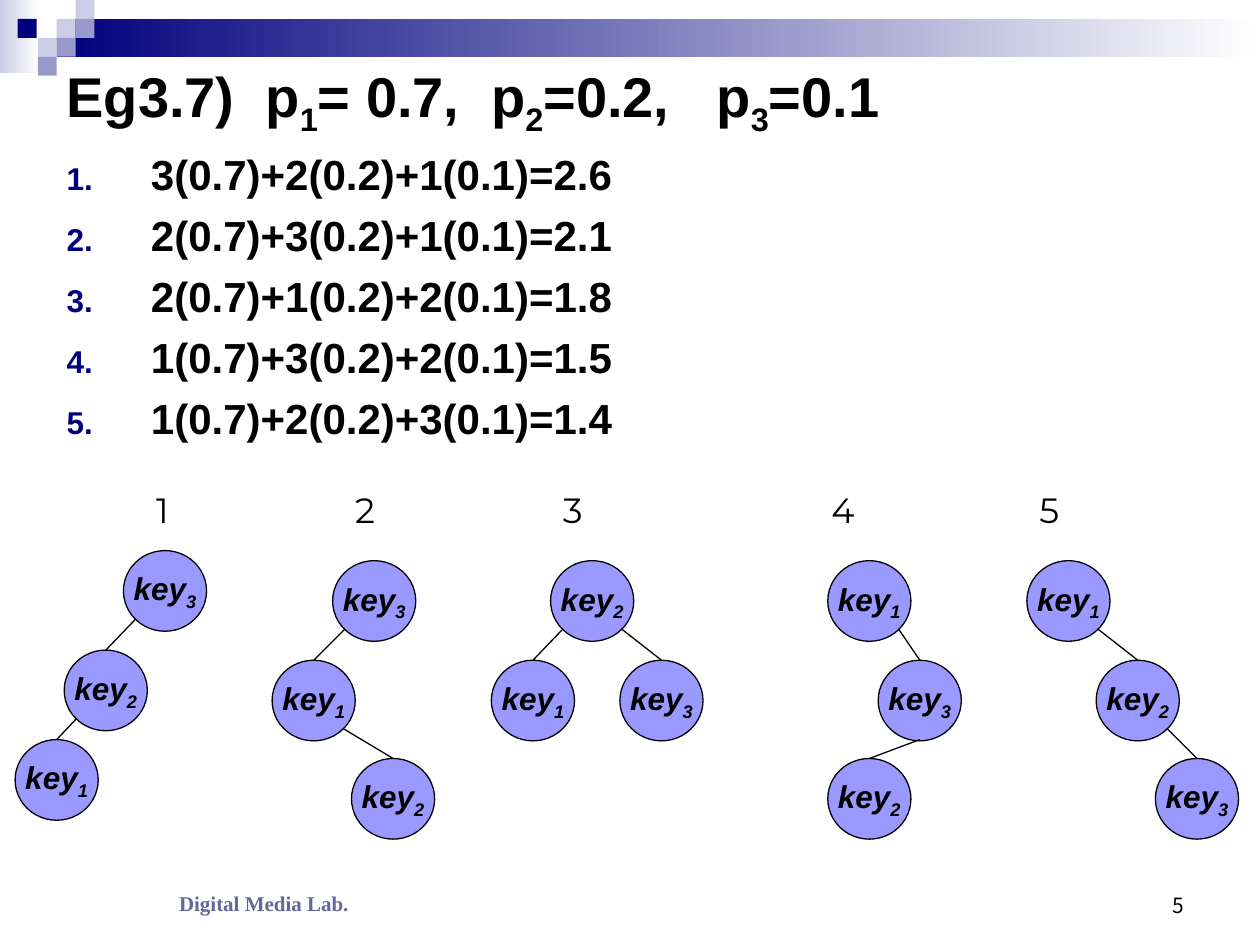
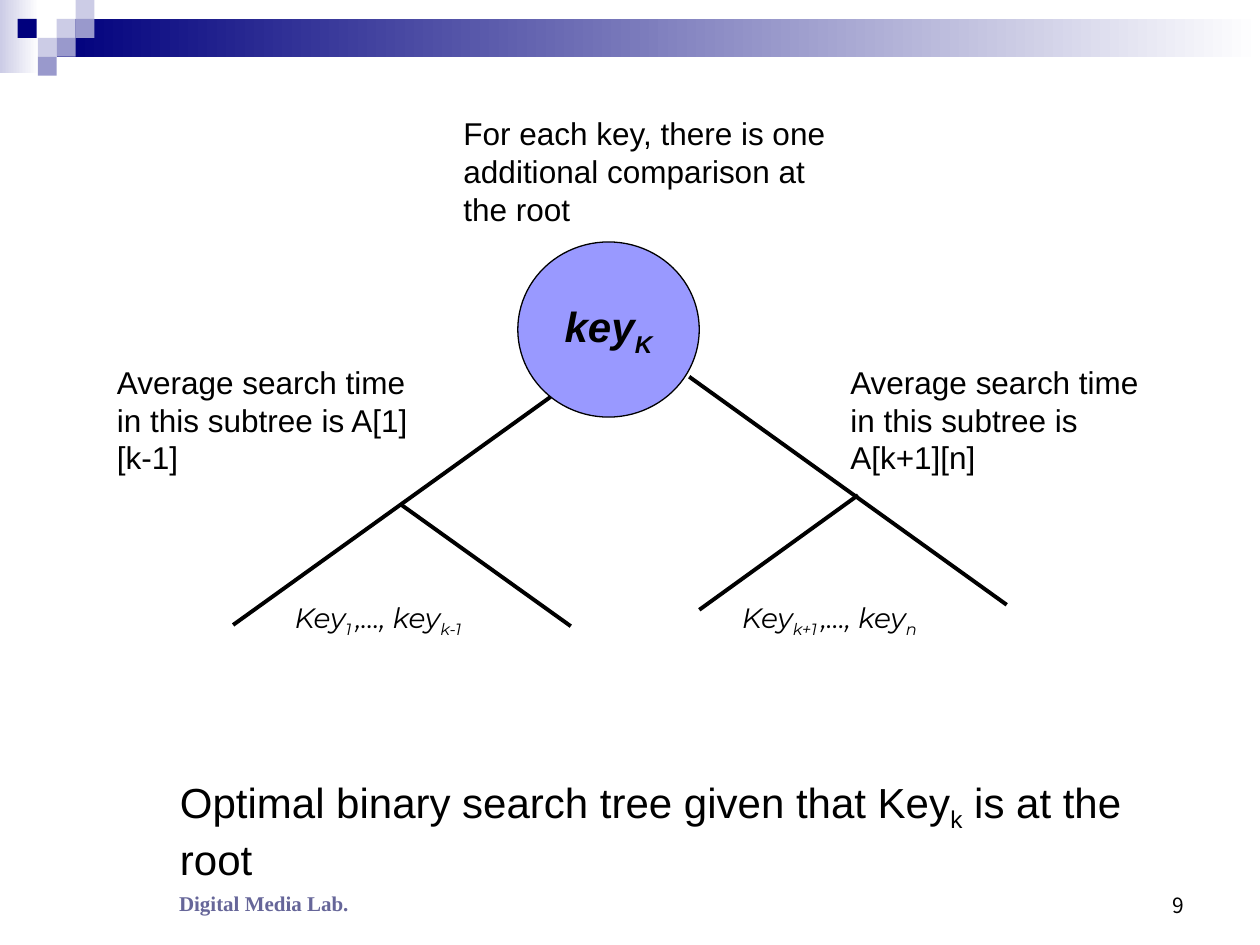
from lxml import etree
from pptx import Presentation
from pptx.dml.color import RGBColor
from pptx.enum.shapes import MSO_CONNECTOR, MSO_SHAPE
from pptx.enum.text import MSO_ANCHOR, PP_ALIGN
from pptx.oxml.ns import qn
from pptx.util import Inches, Pt

RECT, OVAL, LINE = MSO_SHAPE.RECTANGLE, MSO_SHAPE.OVAL, MSO_CONNECTOR.STRAIGHT
LEFT, MID, RIGHT = PP_ALIGN.LEFT, PP_ALIGN.CENTER, PP_ALIGN.RIGHT
TOP, CENTER, BOTTOM = MSO_ANCHOR.TOP, MSO_ANCHOR.MIDDLE, MSO_ANCHOR.BOTTOM

BLACK, WHITE, NAVY = "000000", "FFFFFF", "00007D"
PALE, MIST, SLATE, NODE = "CCCCE6", "9999CC", "666699", "9999FF"
SANS, LABEL, SERIF, DIGIT = "Arial", "Montserrat", "Times New Roman", "Noto Sans CJK KR"

TILE = 0.15
TILES = [(0.45, 0.15, PALE), (0.6, 0, PALE), (0.6, 0.15, MIST),
         (0.3, 0.3, PALE), (0.14, 0.15, NAVY), (0.45, 0.3, MIST),
         (0.3, 0.45, MIST)]

TITLE = "Eg3.7)\tp|1|= 0.7,\tp|2|=0.2,\tp|3|=0.1"
STOPS = [1.58, 3.37, 5.16]
COSTS = ["3(0.7)+2(0.2)+1(0.1)=2.6", "2(0.7)+3(0.2)+1(0.1)=2.1",
         "2(0.7)+1(0.2)+2(0.1)=1.8", "1(0.7)+3(0.2)+2(0.1)=1.5",
         "1(0.7)+2(0.2)+3(0.1)=1.4"]

WIDE, HIGH = 0.66, 0.64
PORTS = {"left": (0.1, 0.54), "right": (0.56, 0.54), "below": (0.33, 0.63)}
TREES = [
    (1.14, {3: (0.98, 4.37), 2: (0.51, 5.16), 1: (0.12, 5.87)},
     [(3, "left", 2), (2, "left", 1)]),
    (2.72, {3: (2.64, 4.45), 1: (2.16, 5.24), 2: (2.79, 6.02)},
     [(3, "left", 1), (1, "right", 2)]),
    (4.37, {2: (4.37, 4.45), 1: (3.9, 5.24), 3: (4.92, 5.24)},
     [(2, "left", 1), (2, "right", 3)]),
    (6.5, {1: (6.57, 4.45), 3: (6.97, 5.24), 2: (6.57, 6.02)},
     [(1, "right", 3), (3, "below", 2)]),
    (8.15, {1: (8.15, 4.45), 2: (8.7, 5.24), 3: (9.17, 6.02)},
     [(1, "right", 2), (2, "right", 3)]),
]


def color(code):
    """Turn a hex string into a colour."""
    return RGBColor.from_string(code)


def write(para, text, size=18, face=SANS, ink=BLACK, bold=False, slant=False,
          align=LEFT):
    """Fill a paragraph; every second part between bars is a subscript."""
    para.alignment = align
    for i, part in enumerate(text.split("|")):
        if not part:
            continue
        run = para.add_run()
        run.text = part
        font = run.font
        font.size, font.name = Pt(size), face
        font.bold, font.italic = bold, slant
        font.color.rgb = color(ink)
        if i % 2:
            run._r.get_or_add_rPr().set("baseline", "-25000")


def indent(para, left, first=0):
    """Set the left margin and first-line indent of a paragraph."""
    props = para._p.get_or_add_pPr()
    props.set("marL", str(Inches(left)))
    props.set("indent", str(Inches(first)))
    return props


def number(para):
    """Give a paragraph a small navy number."""
    props = indent(para, 0.67, -0.67)
    tint = etree.SubElement(props, qn("a:buClr"))
    etree.SubElement(tint, qn("a:srgbClr"), val=NAVY)
    etree.SubElement(props, qn("a:buSzPct"), val="75000")
    etree.SubElement(props, qn("a:buFont"), typeface=SANS)
    etree.SubElement(props, qn("a:buAutoNum"), type="arabicPeriod")


def tabs(para, stops):
    """Add left tab stops to a paragraph."""
    group = etree.SubElement(para._p.get_or_add_pPr(), qn("a:tabLst"))
    for stop in stops:
        etree.SubElement(group, qn("a:tab"), pos=str(Inches(stop)), algn="l")


def frame(slide, x, y, w, h, anchor=TOP):
    """Add an empty wrapping text box and return its frame."""
    body = slide.shapes.add_textbox(*map(Inches, (x, y, w, h))).text_frame
    body.word_wrap = True
    body.vertical_anchor = anchor
    return body


def note(slide, x, y, w, h, text, anchor=TOP, **style):
    """Add a box with one paragraph and return the paragraph."""
    para = frame(slide, x, y, w, h, anchor).paragraphs[0]
    write(para, text, **style)
    return para


def shape(slide, kind, x, y, w, h, fill, fade=None):
    """Add a plain shape without outline, solid or fading to a colour."""
    item = slide.shapes.add_shape(kind, *map(Inches, (x, y, w, h)))
    item.shadow.inherit = False
    item.line.fill.background()
    if fade:
        item.fill.gradient()
        item.fill.gradient_angle = 0
        for stop, code in zip(item.fill.gradient_stops, (fill, fade)):
            stop.color.rgb = color(code)
    else:
        item.fill.solid()
        item.fill.fore_color.rgb = color(fill)
    return item


def node(slide, x, y, text, w=WIDE, h=HIGH, size=18):
    """Add a round tree node with its key."""
    item = shape(slide, OVAL, x, y, w, h, NODE)
    item.line.color.rgb = color(BLACK)
    item.line.width = Pt(0.75)
    body = item.text_frame
    body.word_wrap = False
    body.vertical_anchor = CENTER
    write(body.paragraphs[0], text, size=size, bold=True, slant=True, align=MID)


def edge(slide, x1, y1, x2, y2, width=0.75):
    """Add a straight black line."""
    line = slide.shapes.add_connector(LINE, *map(Inches, (x1, y1, x2, y2)))
    line.line.color.rgb = color(BLACK)
    line.line.width = Pt(width)
    etree.SubElement(line._element.spPr, qn("a:effectLst"))


def tree(slide, name, x, nodes, links):
    """Draw one numbered search tree."""
    for key, (left, top) in nodes.items():
        node(slide, left, top, f"key|{key}")
    for head, port, child in links:
        dx, dy = PORTS[port]
        left, top = nodes[head]
        end, low = nodes[child]
        edge(slide, left + dx, top + dy, end + WIDE / 2, low)
    note(slide, x, 3.83, 0.47, 0.44, name, size=20, face=LABEL)


def base(deck, page):
    """Add a slide with the header band, tiles and footer."""
    slide = deck.slides.add_slide(deck.slide_layouts[6])
    shape(slide, RECT, 0, 0, 0.31, 0.58, PALE, WHITE)
    shape(slide, RECT, 0.45, 0.15, 9.55, 0.3, NAVY, WHITE)
    for x, y, fill in TILES:
        shape(slide, RECT, x, y, TILE, TILE, fill)
    note(slide, 0.51, 6.82, 3.17, 0.5, "Digital Media Lab.", anchor=BOTTOM,
         size=12, face=SERIF, ink=SLATE, bold=True, align=MID)
    note(slide, 7.17, 6.83, 2.33, 0.5, page, anchor=BOTTOM, size=12,
         face=DIGIT, align=RIGHT)
    return slide


def costs(deck):
    """Build the slide that compares the cost of five trees."""
    slide = base(deck, "5")
    body = frame(slide, 0.43, 0.44, 9.07, 5.12)
    head = body.paragraphs[0]
    tabs(head, STOPS)
    write(head, TITLE, size=32, bold=True)
    for cost in COSTS:
        para = body.add_paragraph()
        number(para)
        para.space_before = Pt(6)
        write(para, cost, size=24, bold=True)
    for i, (x, nodes, links) in enumerate(TREES, 1):
        tree(slide, str(i), x, nodes, links)


def root(deck):
    """Build the slide that shows the subtrees below a root."""
    slide = base(deck, "9")
    node(slide, 4.11, 1.92, "key|K", w=1.44, h=1.39, size=24)
    for ends in [(4.37, 3.15, 1.85, 4.96), (5.47, 2.99, 7.99, 4.8),
                 (6.81, 3.93, 5.55, 4.84), (3.19, 4.01, 4.53, 4.97)]:
        edge(slide, *ends, width=2.25)
    for x, w, text in [(2.24, 1.97, "Key|1 |,…, key|k-1"),
                       (5.79, 2.2, "Key|k+1 |,…, key|n")]:
        note(slide, x, 4.72, w, 0.41, text, size=16, face=LABEL, slant=True)
    for x, span in [(0.83, "A[1][k-1]"), (6.65, "A[k+1][n]")]:
        note(slide, x, 2.83, 2.68, 1,
             f"Average search time in this subtree is {span}")
    note(slide, 3.58, 0.86, 3.31, 1,
         "For each key, there is one additional comparison at the root")
    para = note(slide, 0.83, 6.11, 8.58, 0.96,
                "Optimal binary search tree given that Key|k| is at the root",
                size=24)
    indent(para, 0.5)


def main():
    """Build and save the deck."""
    deck = Presentation()
    deck.slide_width, deck.slide_height = Inches(10), Inches(7.5)
    costs(deck)
    root(deck)
    deck.save("out.pptx")


if __name__ == "__main__":
    main()
